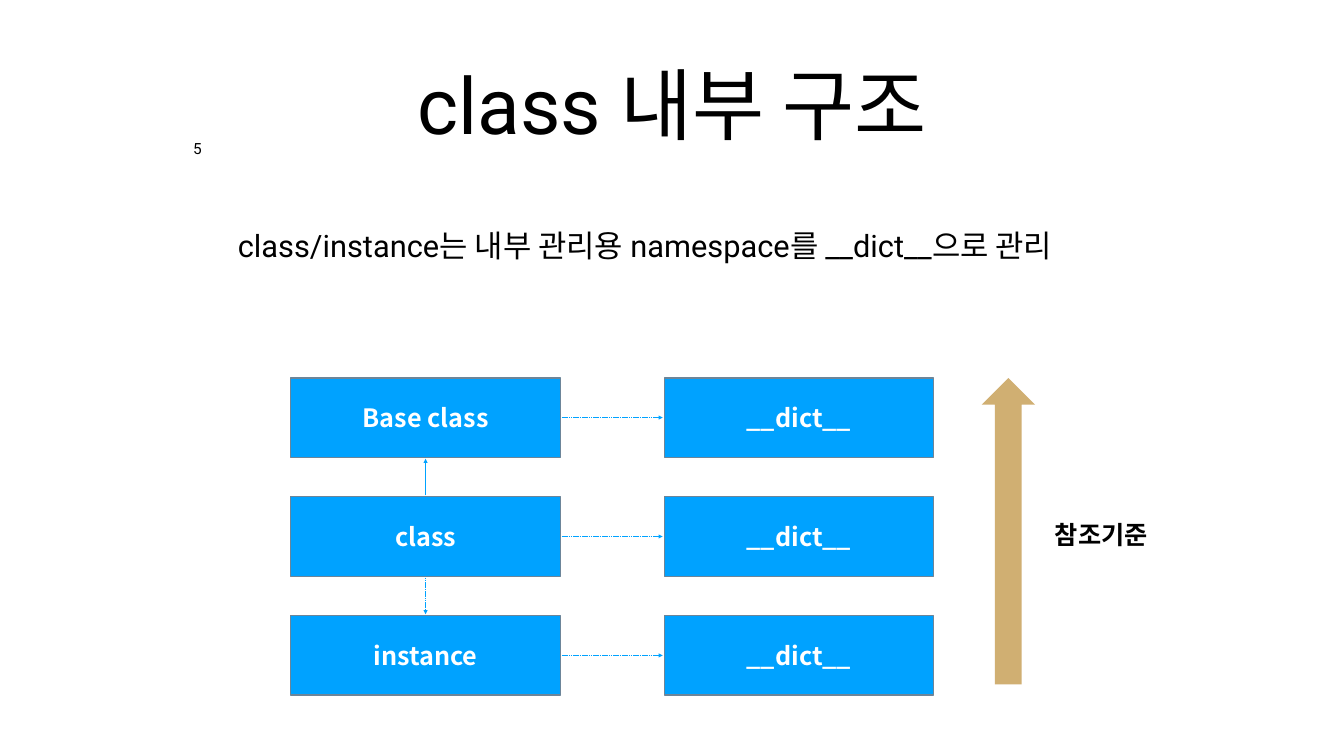
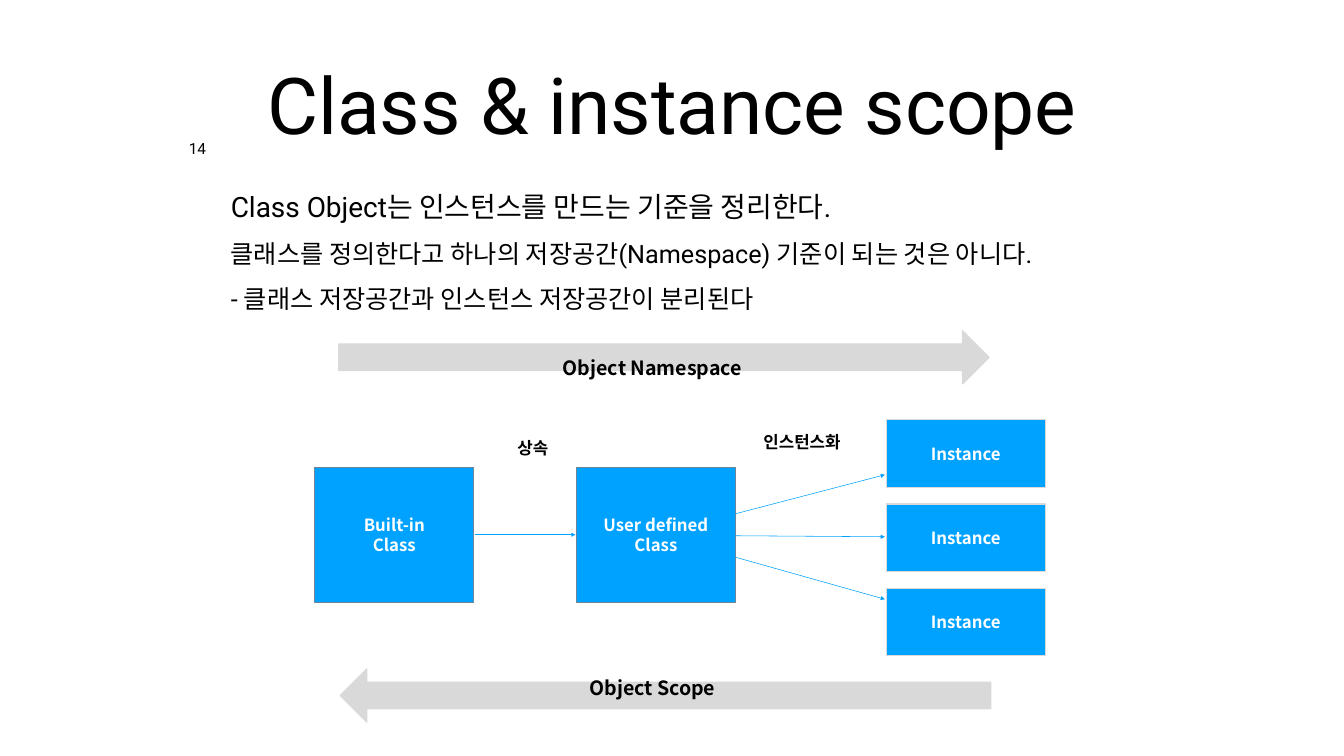
import pptx
import pptx.util
import pptx.dml.color
import pptx.enum.dml
import pptx.enum.shapes
import pptx.enum.text
import pptx.oxml.ns
import lxml.etree

Inches = pptx.util.Inches
Pt = pptx.util.Pt
SHAPE = pptx.enum.shapes.MSO_SHAPE
ALIGN = pptx.enum.text.PP_ALIGN
ANCHOR = pptx.enum.text.MSO_ANCHOR

COLORS = {
    "text": "000000",
    "white": "FFFFFF",
    "blue": "00A2FF",
    "slate": "6C8599",
    "grey": "D9D9D9",
    "sand": "D0AF72",
}
BODY_FONT = "Roboto"
LABEL_FONT = "Noto Sans CJK KR"
TITLE_BOX = (4.8, 0.39, 17.07, 3.32)


def rgb(name):
    """Return the named colour."""
    return pptx.dml.color.RGBColor.from_string(COLORS[name])


def add_xml(parent, tag, **attrs):
    """Append a DrawingML element to the parent."""
    return lxml.etree.SubElement(parent, pptx.oxml.ns.qn(tag), **attrs)


def write(shape, lines, sizes, font=LABEL_FONT, color="text", bold=True,
          align=ALIGN.CENTER, anchor=ANCHOR.MIDDLE, inset=0.08, spacing=None, wrap=True):
    """Fill a shape with formatted paragraphs, one size for each."""
    tf = shape.text_frame
    tf.text = "\n".join(lines)
    tf.word_wrap = wrap
    tf.auto_size = pptx.enum.text.MSO_AUTO_SIZE.NONE
    tf.vertical_anchor = anchor
    tf.margin_left = tf.margin_right = Inches(inset)
    tf.margin_top = tf.margin_bottom = Inches(inset)
    for p, size in zip(tf.paragraphs, sizes):
        p.alignment = align
        p.line_spacing = spacing
        for r in p.runs:
            r.font.size = Pt(size)
            r.font.bold = bold
            r.font.name = font
            r.font.color.rgb = rgb(color)
            add_xml(r.font._element, "a:ea", typeface=LABEL_FONT)


def add_text(s, box, lines, sizes, **style):
    """Add a text box in the given box."""
    write(s.shapes.add_textbox(*map(Inches, box)), lines, sizes, **style)


def add_filled(s, kind, box, fill, line=None):
    """Add a preset shape with a flat fill and an optional outline."""
    sp = s.shapes.add_shape(kind, *map(Inches, box))
    sp.shadow.inherit = False
    sp.fill.solid()
    sp.fill.fore_color.rgb = rgb(fill)
    if line:
        sp.line.color.rgb = rgb(line)
        sp.line.width = Pt(1.5)
    else:
        sp.line.fill.background()
    return sp


def add_node(s, box, lines, size, line="slate"):
    """Add a blue box with a bold white label."""
    sp = add_filled(s, SHAPE.RECTANGLE, box, "blue", line)
    write(sp, lines, [size] * len(lines), color="white", inset=0.1)


def add_band(s, box, fill, line=None, rotation=0):
    """Add a thick block arrow."""
    add_filled(s, SHAPE.RIGHT_ARROW, box, fill, line).rotation = rotation


def add_link(s, x1, y1, x2, y2, dashed=False):
    """Add a thin line with an arrowhead at its end."""
    kind = pptx.enum.shapes.MSO_CONNECTOR.STRAIGHT
    c = s.shapes.add_connector(kind, *map(Inches, (x1, y1, x2, y2)))
    c.line.color.rgb = rgb("blue")
    c.line.width = Pt(0.79)
    if dashed:
        c.line.dash_style = pptx.enum.dml.MSO_LINE.SQUARE_DOT
    add_xml(c.line._get_or_add_ln(), "a:tailEnd", type="triangle")
    add_xml(c._element.spPr, "a:effectLst")


def add_titled_slide(prs, title, number):
    """Add a slide with its title and page number."""
    s = prs.slides.add_slide(prs.slide_layouts[5])
    sp = s.shapes.title
    sp.left, sp.top, sp.width, sp.height = map(Inches, TITLE_BOX)
    write(sp, [title], [112], font=BODY_FONT, bold=False)
    add_text(s, (3.67, 2.75, 0.5, 0.45), [number], [22], font=BODY_FONT, bold=False,
             anchor=ANCHOR.TOP, spacing=0.8, wrap=False)
    return s


def draw_dict_grid(s, left, top):
    """Draw each object beside its namespace, with links between them."""
    width, height, col_step, row_step, gap = 5.35, 1.57, 7.41, 2.36, 0.03
    for i, name in enumerate(["Base class", "class", "instance"]):
        y = top + i * row_step
        middle = y + height / 2
        add_node(s, (left, y, width, height), [name], 36)
        add_node(s, (left + col_step, y, width, height), ["__dict__"], 36)
        add_link(s, left + width + gap, middle, left + col_step - gap, middle, dashed=True)
    center = left + width / 2
    class_top = top + row_step
    add_link(s, center, class_top - gap, center, top + height + gap)
    add_link(s, center, class_top + height + gap, center, class_top + row_step - gap, dashed=True)


def draw_reference_order(s, left, top):
    """Draw the upward arrow and its label."""
    length, thickness = 6.08, 1.06
    add_band(s, (left + (thickness - length) / 2, top + (length - thickness) / 2,
                 length, thickness), "sand", rotation=270)
    add_text(s, (left + 1.06, top + 2.75, 2.63, 0.71), ["참조기준"], [36])


def draw_scope_flow(s, left, top):
    """Draw the classes, the instances and the links between them."""
    width, class_height, inst_height, inst_step = 3.15, 2.68, 1.34, 1.67
    class_top, user_left, inst_left = top + 0.94, left + 5.19, left + 11.34
    add_node(s, (left, class_top, width, class_height), ["Built-in", "Class"], 24)
    add_node(s, (user_left, class_top, width, class_height), ["User defined", "Class"], 24)
    middle = class_top + class_height / 2
    add_link(s, left + width + 0.02, middle, user_left - 0.02, middle)
    for i, (start, end) in enumerate([(1.86, 1.09), (2.3, 2.32), (2.73, 3.56)]):
        add_node(s, (inst_left, top + i * inst_step, width, inst_height),
                 ["Instance"], 24, line="grey")
        add_link(s, user_left + width + 0.02, top + start, inst_left - 0.03, top + end)
    add_text(s, (left + 3.46, top + 0.31, 1.73, 0.5), ["상속"], [24])
    add_text(s, (left + 8.47, top + 0.18, 2.39, 0.5), ["인스턴스화"], [24])


def draw_scope_bands(s, left, top):
    """Draw the two grey arrows and their labels."""
    width, height = 12.91, 1.06
    add_band(s, (left, top, width, height), "grey", "grey")
    add_band(s, (left + 0.03, top + 6.71, width, height), "grey", "grey", 180)
    add_text(s, (left + 2.68, top + 0.45, 7.09, 0.57), ["Object Namespace"], [28])
    add_text(s, (left + 4.02, top + 6.79, 4.41, 0.57), ["Object Scope"], [28])


def build_structure_slide(prs):
    """Build the slide on the inner structure of a class."""
    s = add_titled_slide(prs, "class 내부 구조", "5")
    add_text(s, (4.64, 3.56, 18, 2.6),
             ["class/instance는 내부 관리용 namespace를 __dict__으로 관리"], [44],
             font=BODY_FONT, bold=False, align=ALIGN.LEFT)
    draw_dict_grid(s, 5.77, 7.5)
    draw_reference_order(s, 19.48, 7.5)


def build_scope_slide(prs):
    """Build the slide on class and instance scope."""
    s = add_titled_slide(prs, "Class & instance scope", "14")
    add_text(s, (4.5, 3.35, 20.87, 2.74),
             ["Class Object는 인스턴스를 만드는 기준을 정리한다.",
              "클래스를 정의한다고 하나의 저장공간(Namespace) 기준이 되는 것은 아니다.",
              "- 클래스 저장공간과 인스턴스 저장공간이 분리된다"], [40, 36, 36],
             font=BODY_FONT, bold=False, align=ALIGN.LEFT, anchor=ANCHOR.TOP, spacing=1.5)
    draw_scope_flow(s, 6.25, 8.33)
    draw_scope_bands(s, 6.72, 6.56)


def main():
    """Build and save the presentation."""
    prs = pptx.Presentation()
    prs.slide_width, prs.slide_height = Inches(26.67), Inches(15)
    build_structure_slide(prs)
    build_scope_slide(prs)
    prs.save("out.pptx")


if __name__ == "__main__":
    main()
